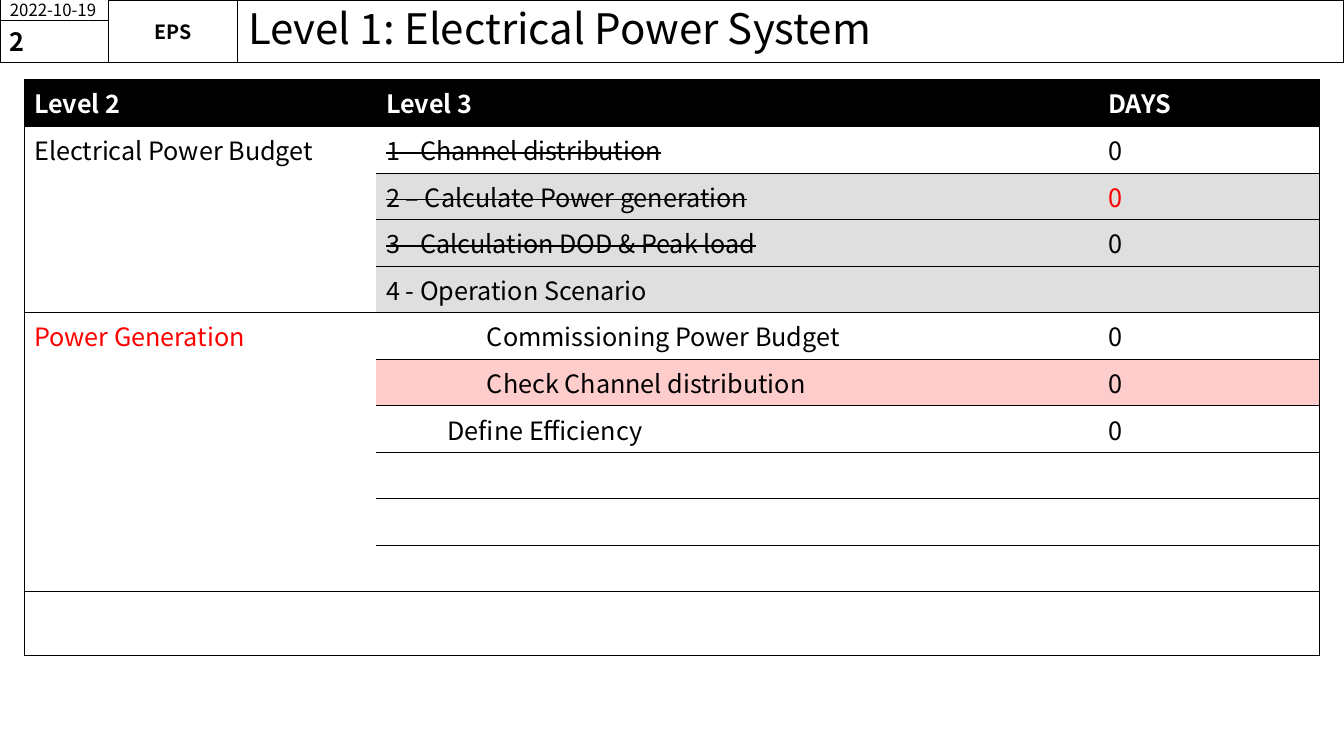
from lxml.etree import SubElement as Sub
from pptx import Presentation
from pptx.dml.color import RGBColor as Rgb
from pptx.enum.shapes import MSO_SHAPE as Shape
from pptx.enum.text import MSO_ANCHOR as Anchor, MSO_AUTO_SIZE as Auto, PP_ALIGN as Align
from pptx.oxml.ns import qn
from pptx.util import Inches, Pt

FONT = "Noto Sans CJK KR"
HUES = {"ink": "000000", "paper": "FFFFFF", "red": "FF0000", "gray": "DFDFDF", "pink": "FFCCCC"}
PLAIN = "{2D5ABB26-0587-4C30-8999-92F81FD0307C}"
COLS = [3.49, 7.16, 2.2]
ROWS = [0.46] * 11 + [0.63]
GROUPS = [(1, 4, "Electrical Power Budget", "ink"), (5, 10, "Power Generation", "red")]
TASKS = [
    {"name": "1 - Channel distribution", "days": "0", "done": True},
    {"name": "2 – Calculate Power generation", "days": "0", "done": True,
     "fill": "gray", "hue": "red"},
    {"name": "3 - Calculation DOD & Peak load", "days": "0", "done": True, "fill": "gray"},
    {"name": "4 - Operation Scenario", "fill": "gray"},
    {"name": "Commissioning Power Budget", "days": "0", "dent": 1},
    {"name": "Check Channel distribution", "days": "0", "dent": 1, "fill": "pink"},
    {"name": "Define Efficiency", "days": "0", "dent": 0.61},
]


def tint(key):
    """Return the named colour."""
    return Rgb.from_string(HUES[key])


def write(frame, text, size=18, bold=False, hue="ink", align=Align.LEFT):
    """Put one formatted run in a text frame and return it."""
    para = frame.paragraphs[0]
    para.alignment = align
    run = para.add_run()
    run.text = text
    form = {"name": FONT, "size": Pt(size), "bold": bold}
    for key, value in form.items():
        setattr(run.font, key, value)
    run.font.color.rgb = tint(hue)
    return run


def frame_box(box, text, **form):
    """Outline a box and centre its text vertically."""
    box.fill.background()
    box.line.color.rgb = tint("ink")
    box.line.width = Pt(0.75)
    frame = box.text_frame
    layout = {"word_wrap": True, "auto_size": Auto.NONE, "vertical_anchor": Anchor.MIDDLE}
    for key, value in layout.items():
        setattr(frame, key, value)
    write(frame, text, **form)
    return frame


def add_box(slide, x, y, w, h, text, **form):
    """Add an outlined rectangle with text."""
    box = slide.shapes.add_shape(Shape.RECTANGLE, *map(Inches, (x, y, w, h)))
    box.shadow.inherit = False
    return frame_box(box, text, **form)


def add_head(slide, x, y, w, h):
    """Build the title strip with date, page and team boxes."""
    side, team, top = 1.08, 1.28, 0.2
    left = side + team
    title = slide.shapes.title
    spots = {"left": x + left, "top": y, "width": w - left, "height": h}
    for key, value in spots.items():
        setattr(title, key, Inches(value))
    frame = frame_box(title, "Level 1: Electrical Power System", size=30)
    frame.paragraphs[0].line_spacing = 0.9
    add_box(slide, x, y, side, top, "2022-10-19", size=12)
    frame = add_box(slide, x + side, y, team, h, "EPS", size=14, bold=True, align=Align.CENTER)
    for edge in ("left", "right", "top", "bottom"):
        setattr(frame, f"margin_{edge}", 0)
    add_box(slide, x, y + top, side, h - top, "2", bold=True)


def rule(cell, sides):
    """Draw thin borders on the given sides of a cell."""
    props = cell._tc.get_or_add_tcPr()
    for side in sides:
        line = Sub(props, qn(f"a:ln{side}"), w=str(Pt(0.5)))
        Sub(Sub(line, qn("a:solidFill")), qn("a:srgbClr"), val=HUES["ink"])


def fill_task(table, row, task):
    """Write one task and its days, and shade their cells."""
    name, days = table.cell(row, 1), table.cell(row, 2)
    if "fill" in task:
        for cell in (name, days):
            cell.fill.solid()
            cell.fill.fore_color.rgb = tint(task["fill"])
    run = write(name.text_frame, task["name"])
    if task.get("done"):
        run._r.get_or_add_rPr().set("strike", "sngStrike")
    if "dent" in task:
        props = name.text_frame.paragraphs[0]._p.get_or_add_pPr()
        props.set("marL", str(Inches(task["dent"])))
        props.set("indent", "0")
    if "days" in task:
        write(days.text_frame, task["days"], hue=task.get("hue", "ink"))


def add_plan(slide, x, y):
    """Build the task table."""
    size = (x, y, sum(COLS), sum(ROWS))
    part = slide.shapes.add_table(len(ROWS), len(COLS), *map(Inches, size))
    table = part.table
    table.first_row = table.horz_banding = False
    table._tbl.tblPr.find(qn("a:tableStyleId")).text = PLAIN
    for col, width in zip(table.columns, COLS):
        col.width = Inches(width)
    for row, height in zip(table.rows, ROWS):
        row.height = Inches(height)
    for top, end, text, hue in GROUPS:
        cell = table.cell(top, 0)
        cell.merge(table.cell(end, 0))
        write(cell.text_frame, text, hue=hue)
    for row in range(len(ROWS)):
        for col, sides in enumerate(("LTB", "TB", "RTB")):
            cell = table.cell(row, col)
            if not cell.is_spanned:
                rule(cell, sides)
                cell.fill.background()
    for col, text in enumerate(("Level 2", "Level 3", "DAYS")):
        cell = table.cell(0, col)
        cell.fill.solid()
        cell.fill.fore_color.rgb = tint("ink")
        write(cell.text_frame, text, bold=True, hue="paper")
    for row, task in enumerate(TASKS, 1):
        fill_task(table, row, task)


def main():
    """Build and save the slide."""
    deck = Presentation()
    deck.slide_width, deck.slide_height = Inches(13.33), Inches(7.5)
    slide = deck.slides.add_slide(deck.slide_layouts[5])
    add_head(slide, 0, 0, 13.33, 0.62)
    add_plan(slide, 0.24, 0.79)
    deck.save("out.pptx")


if __name__ == "__main__":
    main()
